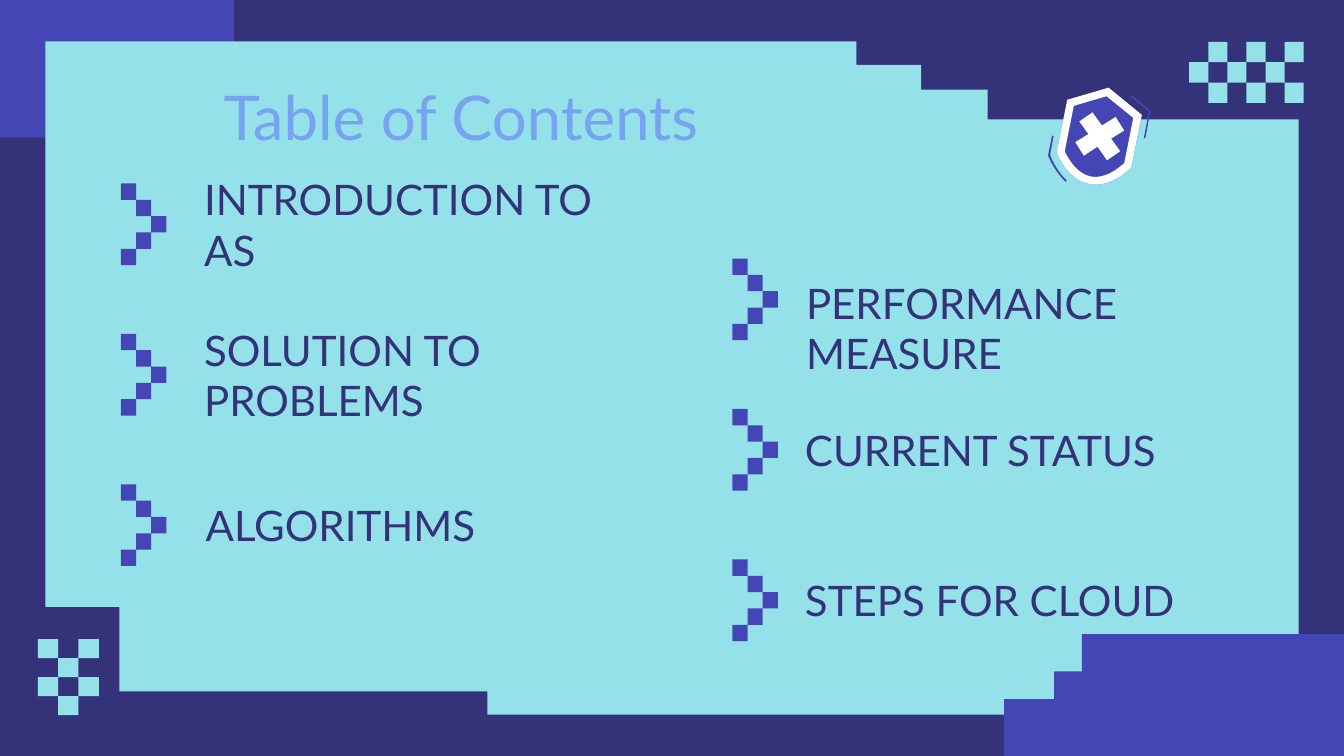
import math

from pptx import Presentation
from pptx.dml.color import RGBColor
from pptx.enum import text
from pptx.util import Inches, Pt

COLORS = {"navy": "34337A", "indigo": "4346B4", "aqua": "94E1E9", "sky": "78A3F0", "white": "FFFFFF"}

CORNER = [(7.35, 0), (1.54, 0), (1.54, 0.74), (0.99, 0.74), (0.99, 1.29), (0, 1.29),
          (0, 5.96), (4.86, 5.96), (4.86, 4.68), (7.35, 4.68)]
PANEL = [(18.69, 1.55), (18.69, 0.96), (17.37, 0.96), (17.37, 0.47), (16.09, 0.47),
         (16.09, 0), (0, 0), (0, 11.22), (1.47, 11.22), (1.47, 12.9), (8.77, 12.9),
         (8.77, 13.36), (24.86, 13.36), (24.86, 1.55)]
SHIELD = [(1.2, 0), (1.86, 0.54), (1.65, 1.58), (1.65, 1.58, 1.25, 2.01, 0.81, 1.91),
          (0.36, 1.82, 0.17, 1.28, 0.17, 1.28), (0.38, 0.24)]
SHIELD_INSIDE = [(1.16, 0.17), (1.69, 0.6), (1.51, 1.5), (1.47, 1.53, 1.4, 1.59, 1.31, 1.65),
                 (1.14, 1.75, 0.98, 1.79, 0.84, 1.76), (0.55, 1.7, 0.38, 1.37, 0.33, 1.26),
                 (0.51, 0.36)]
CROSS = [(1.51, 0.85), (1.34, 0.58), (1.07, 0.75), (0.88, 0.49), (0.62, 0.67), (0.8, 0.92),
         (0.54, 1.08), (0.71, 1.35), (0.98, 1.17), (1.17, 1.44), (1.43, 1.26), (1.25, 1.01)]
RIGHT_GLINT = [(1.9, 1), (2, 0.47), (1.63, 0.17), (1.66, 0.15), (2.03, 0.46), (1.93, 1)]
LEFT_GLINT = [(0.35, 1.87), (0.11, 1.64, 0, 1.35, 0, 1.34), (0.08, 0.95), (0.11, 0.96),
              (0.04, 1.33), (0.05, 1.37, 0.16, 1.64, 0.37, 1.84)]

CHEVRON_CELLS = [(0, 0), (1, 1), (2, 2), (1, 3), (0, 4)]
CHEVRON_GAP = 2.985
LEFT_TOPICS = [("INTRODUCTION TO AS", (3.95, 3.89, 8.8, 1.11), "MIDDLE"),
               ("SOLUTION TO PROBLEMS", (3.95, 6.88, 8.8, 1.11), "MIDDLE"),
               ("ALGORITHMS", (3.98, 9.86, 8.8, 1.11), "MIDDLE")]
RIGHT_TOPICS = [("PERFORMANCE MEASURE", (15.89, 5.45, 10.01, 1.11), "TOP"),
                ("CURRENT STATUS", (15.87, 8.37, 8.8, 1.11), "MIDDLE"),
                ("STEPS FOR CLOUD", (15.87, 11.35, 8.8, 1.11), "MIDDLE")]


def rgb(color):
    """Return the named colour."""
    return RGBColor.from_string(COLORS[color])


def flatten(outline, steps=10):
    """Turn an outline of points and six-number Bezier curves into points."""
    points = []
    for item in outline:
        if len(item) == 2:
            points.append(item)
            continue
        nodes = [points[-1], item[:2], item[2:4], item[4:]]
        for t in (n / steps for n in range(1, steps + 1)):
            weights = ((1 - t) ** 3, 3 * t * (1 - t) ** 2, 3 * t * t * (1 - t), t ** 3)
            points.append(tuple(sum(w * node[axis] for w, node in zip(weights, nodes))
                                for axis in (0, 1)))
    return points


def turn(point, degrees):
    """Rotate a point clockwise about the zero point."""
    x, y = point
    c, s = math.cos(math.radians(degrees)), math.sin(math.radians(degrees))
    return x * c - y * s, x * s + y * c


def straighten(outlines, degrees):
    """Undo a rotation so that rotating about the shape's middle restores it."""
    upright = [[turn(point, -degrees) for point in outline] for outline in outlines]
    xs, ys = zip(*(point for outline in upright for point in outline))
    middle = ((min(xs) + max(xs)) / 2, (min(ys) + max(ys)) / 2)
    centre = turn(middle, degrees)
    return [[(x - middle[0] + centre[0], y - middle[1] + centre[1]) for x, y in outline]
            for outline in upright]


def add_outlines(shapes, left, top, outlines, color, rotation=0):
    """Draw closed outlines as one filled freeform offset by left and top."""
    placed = [[(Inches(left + x), Inches(top + y)) for x, y in outline] for outline in outlines]
    builder = shapes.build_freeform(*placed[0][0], scale=1.0)
    for index, outline in enumerate(placed):
        if index:
            builder.move_to(*outline[0])
        builder.add_line_segments(outline[1:], close=True)
    figure = builder.convert_to_shape()
    figure.fill.solid()
    figure.fill.fore_color.rgb = rgb(color)
    figure.line.fill.background()
    figure.shadow.inherit = False
    figure.rotation = rotation


def add_pixels(shapes, box, cols, rows, cells, color, rotation=0):
    """Fill chosen cells of a grid inside the box."""
    left, top, width, height = box
    w, h = width / cols, height / rows
    squares = [[(c * w, r * h), (c * w + w, r * h), (c * w + w, r * h + h), (c * w, r * h + h)]
               for c, r in cells]
    add_outlines(shapes, left, top, squares, color, rotation)


def add_checker(shapes, box, cols, rotation):
    """Fill every other cell of a three-row grid."""
    cells = [(c, r) for c in range(cols) for r in range(3) if (c + r) % 2 == 0]
    add_pixels(shapes, box, cols, 3, cells, "aqua", rotation)


def add_backdrop(shapes):
    """Place the stepped panel, its two corners and the checkers."""
    add_outlines(shapes, -2.71, -3.23, [CORNER], "indigo")
    add_outlines(shapes, 0.9, 0.82, [PANEL], "aqua")
    add_outlines(shapes, 19.92, 12.58, [CORNER], "indigo")
    add_checker(shapes, (0.6, 12.83, 1.51, 1.21), 4, 90)
    add_checker(shapes, (23.59, 0.83, 2.27, 1.21), 6, 180)


def add_badge(shapes, left, top, tilt=27.2):
    """Group the tilted shield, its rim, cross and glints."""
    badge = shapes.add_group_shape()
    for outlines, color in (([SHIELD], "indigo"), ([SHIELD, SHIELD_INSIDE], "white"),
                            ([CROSS], "white"), ([RIGHT_GLINT, LEFT_GLINT], "indigo")):
        upright = straighten([flatten(outline) for outline in outlines], tilt)
        add_outlines(badge.shapes, left, top, upright, color, tilt)


def add_label(shapes, box, wording, size, color, anchor, align="LEFT"):
    """Write one paragraph in a text box that grows with its text."""
    label = shapes.add_textbox(*map(Inches, box))
    frame = label.text_frame
    frame_format = {"word_wrap": True, "auto_size": text.MSO_AUTO_SIZE.SHAPE_TO_FIT_TEXT,
                    "vertical_anchor": text.MSO_ANCHOR[anchor]}
    for name, value in frame_format.items():
        setattr(frame, name, value)
    paragraph = frame.paragraphs[0]
    paragraph.alignment = text.PP_ALIGN[align]
    run = paragraph.add_run()
    run.text = wording
    for name, value in {"name": "Lato", "size": Pt(size)}.items():
        setattr(run.font, name, value)
    run.font.color.rgb = rgb(color)


def add_topics(shapes, left, top, topics):
    """Stack topics, each led by a pixel chevron."""
    for row, (topic, box, anchor) in enumerate(topics):
        chevron = (left, top + row * CHEVRON_GAP, 0.9, 1.62)
        add_pixels(shapes, chevron, 3, 5, CHEVRON_CELLS, "indigo")
        add_label(shapes, box, topic, 60, "navy", anchor)


def main():
    """Build and save the contents slide."""
    deck = Presentation()
    deck.slide_width, deck.slide_height = Inches(26.66), Inches(15)
    slide = deck.slides.add_slide(deck.slide_layouts[6])
    slide.background.fill.solid()
    slide.background.fill.fore_color.rgb = rgb("navy")
    add_backdrop(slide.shapes)
    add_badge(slide.shapes, 20.79, 1.74)
    add_topics(slide.shapes, 2.4, 3.64, LEFT_TOPICS)
    add_topics(slide.shapes, 14.53, 5.13, RIGHT_TOPICS)
    add_label(slide.shapes, (1.66, 1.5, 14.96, 1.58), "Table of Contents", 88, "sky",
              "BOTTOM", "CENTER")
    deck.save("out.pptx")


if __name__ == "__main__":
    main()
